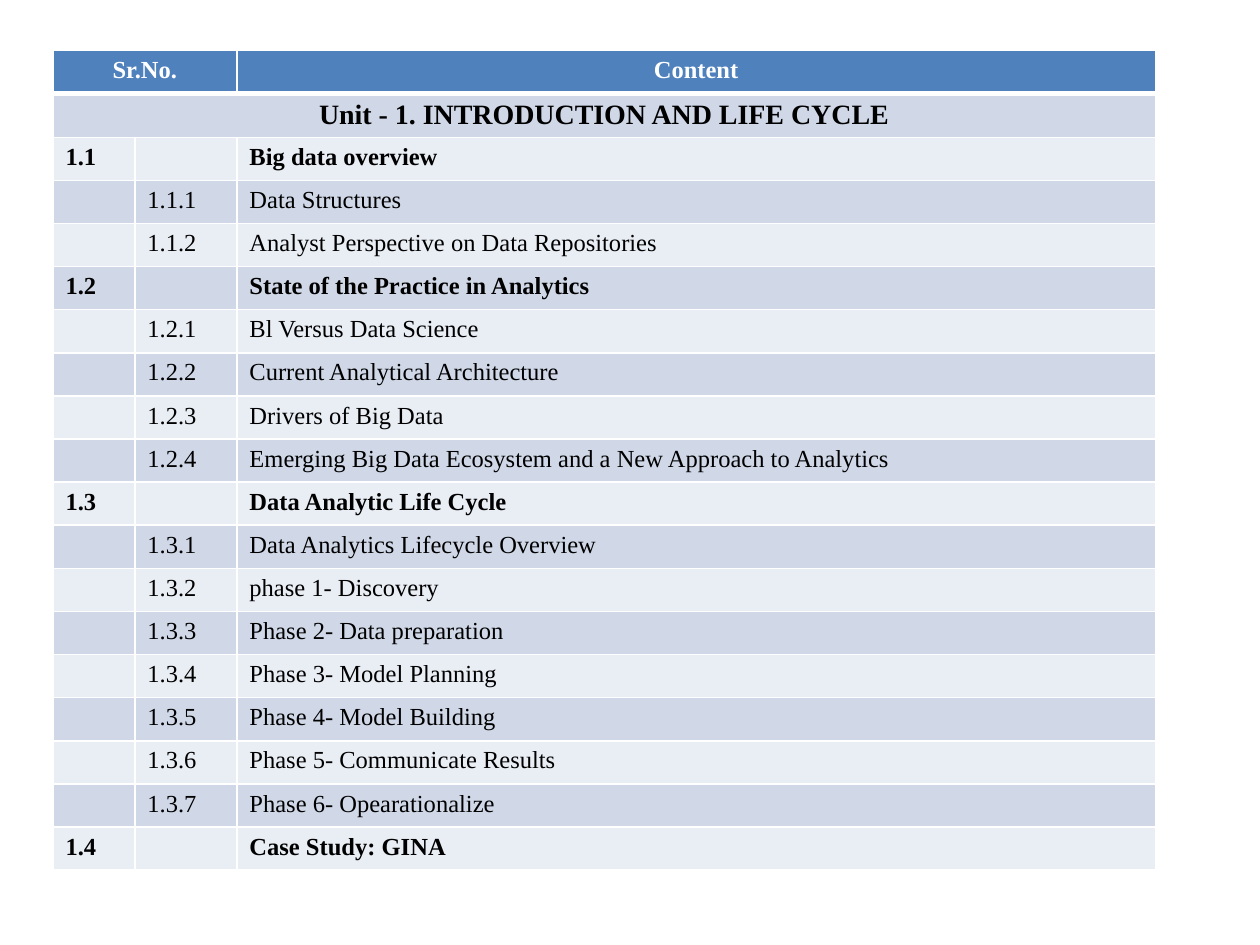
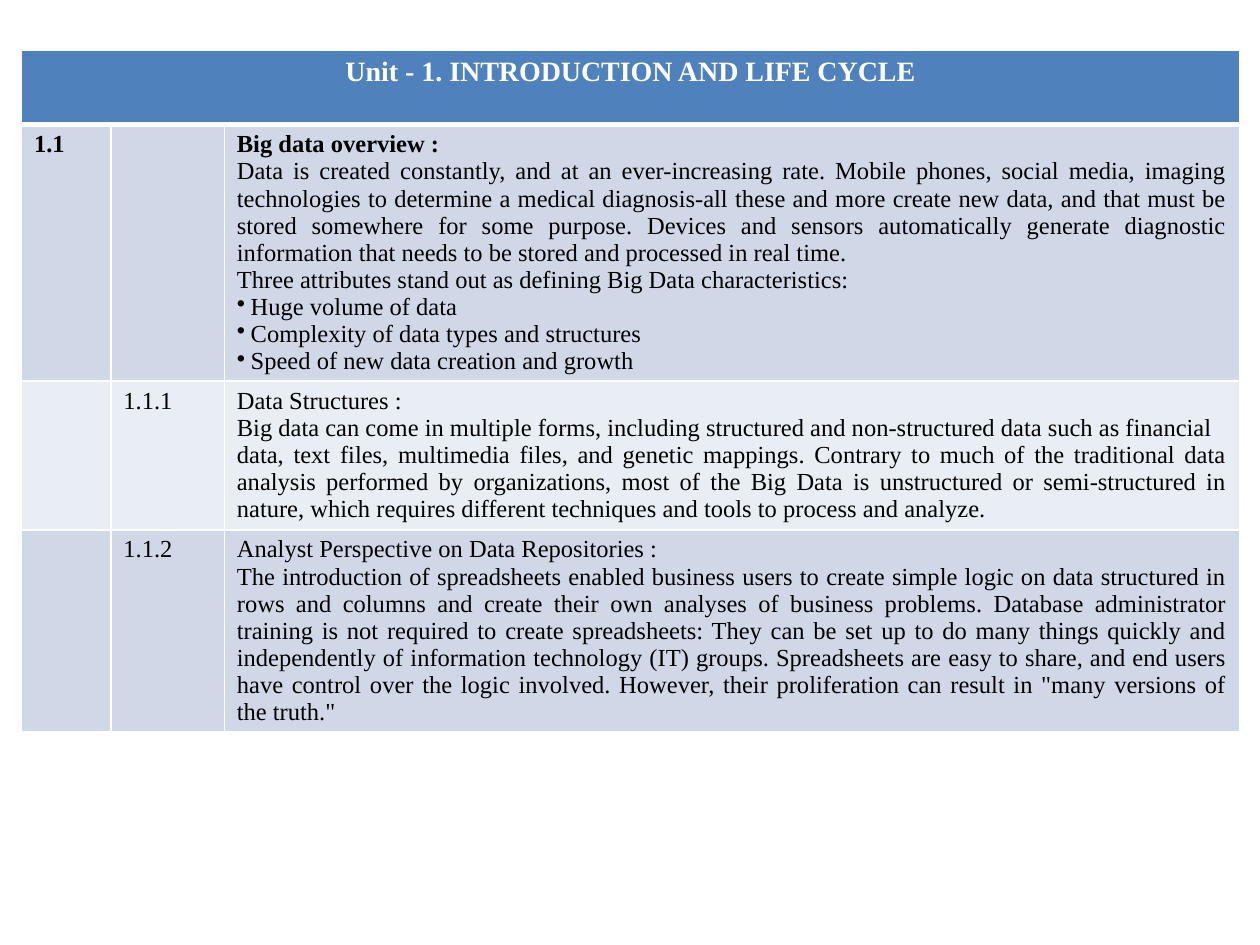
from dataclasses import dataclass

from lxml.etree import SubElement
from pptx import Presentation
from pptx.dml.color import RGBColor
from pptx.enum.text import PP_ALIGN
from pptx.oxml.ns import qn
from pptx.util import Inches, Pt


@dataclass(frozen=True)
class Theme:
    head: str = "4F81BD"
    bands: tuple = ("D0D8E8", "E9EDF4")
    light: str = "FFFFFF"
    dark: str = "000000"
    font: str = "Times New Roman"
    body: int = 14
    title: int = 16
    line: int = 1
    rule: int = 3


THEME = Theme()
TOP = 0.4
UNIT = "Unit - 1. INTRODUCTION AND LIFE CYCLE"

TOPICS = [
    ("Big data overview", [
        "Data Structures",
        "Analyst Perspective on Data Repositories",
    ]),
    ("State of the Practice in Analytics", [
        "Bl Versus Data Science",
        "Current Analytical Architecture",
        "Drivers of Big Data",
        "Emerging Big Data Ecosystem and a New Approach to Analytics",
    ]),
    ("Data Analytic Life Cycle", [
        "Data Analytics Lifecycle Overview",
        "phase 1- Discovery",
        "Phase 2- Data preparation",
        "Phase 3- Model Planning",
        "Phase 4- Model Building",
        "Phase 5- Communicate Results",
        "Phase 6- Opearationalize",
    ]),
    ("Case Study: GINA", []),
]

PLAIN = {}
BOLD = {"bold": True}
FULL = {"align": PP_ALIGN.JUSTIFY}
POINT = {"bullet": True}

NOTES = [
    ("1.1", [
        ("Big data overview :", BOLD),
        ("Data is created constantly, and at an ever-increasing rate. Mobile phones, "
         "social media, imaging technologies to determine a medical diagnosis-all these "
         "and more create new data, and that must be stored somewhere for some purpose. "
         "Devices and sensors automatically generate diagnostic information that needs "
         "to be stored and processed in real time.", FULL),
        ("Three attributes stand out as defining Big Data characteristics:", PLAIN),
        ("Huge volume of data", POINT),
        ("Complexity of data types and structures", POINT),
        ("Speed of new data creation and growth", POINT),
    ]),
    ("1.1.1", [
        ("Data Structures :", PLAIN),
        ("Big data can come in multiple forms, including structured and non-structured "
         "data such as financial", FULL),
        ("data, text files, multimedia files, and genetic mappings. Contrary to much of "
         "the traditional data analysis performed by organizations, most of the Big Data "
         "is unstructured or semi-structured in nature, which requires different "
         "techniques and tools to process and analyze.", FULL),
    ]),
    ("1.1.2", [
        ("Analyst Perspective on Data Repositories :", PLAIN),
        ("The introduction of spreadsheets enabled business users to create simple logic "
         "on data structured in rows and columns and create their own analyses of "
         "business problems. Database administrator training is not required to create "
         "spreadsheets: They can be set up to do many things quickly and independently "
         "of information technology (IT) groups. Spreadsheets are easy to share, and end "
         "users have control over the logic involved. However, their proliferation can "
         "result in \"many versions of the truth.\"", FULL),
    ]),
]


def write(cell, text, size=THEME.body, color=THEME.dark, bold=False,
          align=PP_ALIGN.LEFT, bullet=False):
    frame = cell.text_frame
    para = frame.paragraphs[0]
    if para.runs:
        para = frame.add_paragraph()
    para.alignment = align
    run = para.add_run()
    run.text = text
    font = run.font
    font.name, font.size, font.bold = THEME.font, Pt(size), bold
    font.color.rgb = RGBColor.from_string(color)
    if bullet:
        dent = Inches(0.11)
        props = para._p.get_or_add_pPr()
        props.set("marL", str(dent))
        props.set("indent", str(-dent))
        SubElement(props, qn("a:buChar"), char="•")


def edge(cell, side, width):
    props = cell._tc.get_or_add_tcPr()
    line = SubElement(props, qn(f"a:ln{side}"), w=str(Pt(width)))
    fill = SubElement(line, qn("a:solidFill"))
    SubElement(fill, qn("a:srgbClr"), val=THEME.light)


def style(cell, row):
    heavy = {0: "B", 1: "T"}.get(row)
    for side in "LRTB":
        edge(cell, side, THEME.rule if side == heavy else THEME.line)
    color = THEME.bands[(row - 1) % 2] if row else THEME.head
    cell.fill.solid()
    cell.fill.fore_color.rgb = RGBColor.from_string(color)
    end = cell.text_frame.paragraphs[0]._p.get_or_add_endParaRPr()
    end.set("sz", str(THEME.body * 100))


def add_grid(deck, left, widths, heights):
    slide = deck.slides.add_slide(deck.slide_layouts[6])
    grid = slide.shapes.add_table(
        len(heights), len(widths), Inches(left), Inches(TOP),
        Inches(sum(widths)), Inches(sum(heights))).table
    grid.first_row = grid.horz_banding = False
    for col, width in zip(grid.columns, widths):
        col.width = Inches(width)
    for num, (row, height) in enumerate(zip(grid.rows, heights)):
        row.height = Inches(height)
        for cell in row.cells:
            style(cell, num)
    return grid


def add_head(grid, row, first, last, text, **form):
    cell = grid.cell(row, first)
    if last > first:
        cell.merge(grid.cell(row, last))
    write(cell, text, bold=True, align=PP_ALIGN.CENTER, **form)


def add_entry(grid, row, code, paras):
    depth = code.count(".") - 1
    write(grid.cell(row, depth), code, bold=depth == 0)
    for text, form in paras:
        write(grid.cell(row, 2), text, **form)


def list_topics():
    for major, (topic, parts) in enumerate(TOPICS, 1):
        yield f"1.{major}", [(topic, BOLD)]
        for minor, part in enumerate(parts, 1):
            yield f"1.{major}.{minor}", [(part, PLAIN)]


def add_index(deck):
    items = list(list_topics())
    step = 6.16 / (len(items) + 1)
    heights = [step] * (len(items) + 1) + [0.31]
    grid = add_grid(deck, 0.42, [0.65, 0.81, 7.29], heights)
    add_head(grid, 0, 0, 1, "Sr.No.", color=THEME.light)
    add_head(grid, 0, 2, 2, "Content", color=THEME.light)
    add_head(grid, 1, 0, 2, UNIT, size=THEME.title)
    for row, (code, paras) in enumerate(items, 2):
        add_entry(grid, row, code, paras)


def add_notes(deck):
    grid = add_grid(deck, 0.17, [0.71, 0.9, 8.06], [0.59, 2.03, 1.18, 1.6])
    add_head(grid, 0, 0, 2, UNIT, size=THEME.title, color=THEME.light)
    for row, (code, paras) in enumerate(NOTES, 1):
        add_entry(grid, row, code, paras)


def main():
    deck = Presentation()
    deck.slide_width, deck.slide_height = Inches(10), Inches(7.5)
    add_index(deck)
    add_notes(deck)
    deck.save("out.pptx")


if __name__ == "__main__":
    main()
